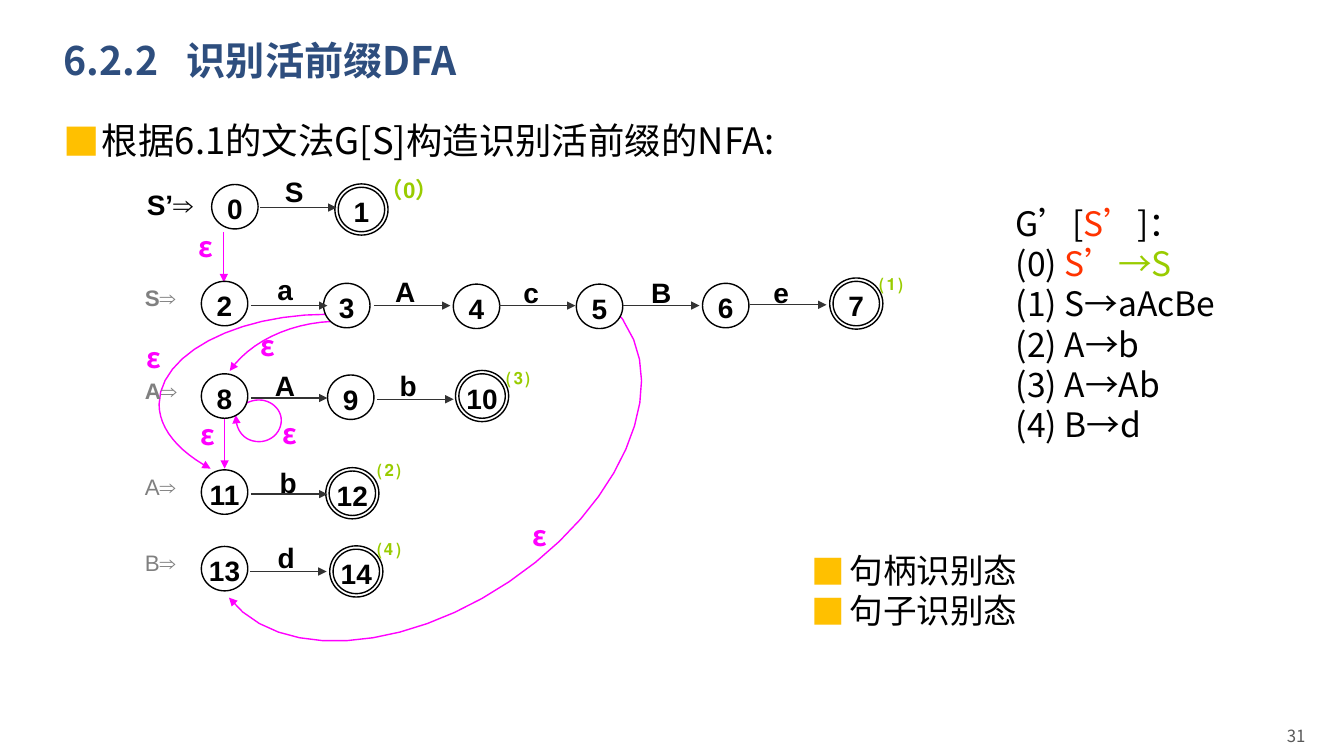
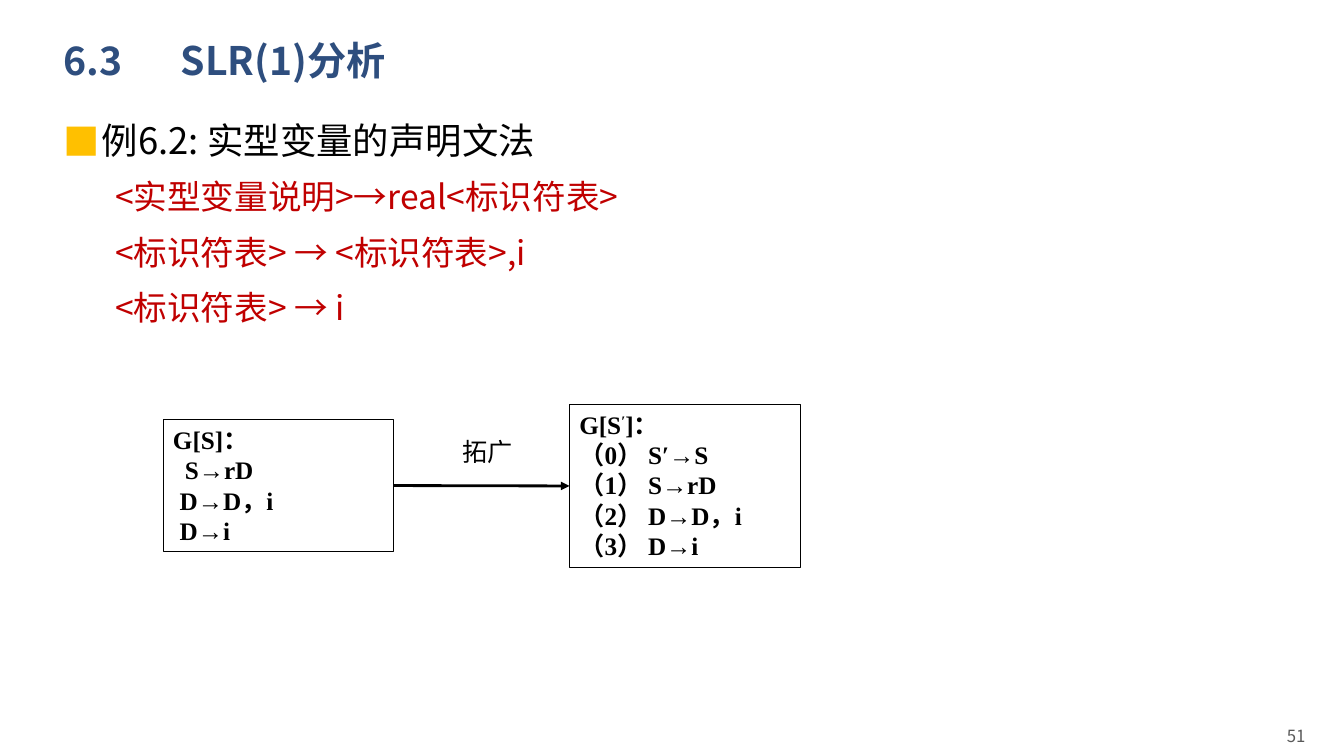
"""Build two compiler-course slides: a viable-prefix NFA and an SLR(1) grammar."""
from lxml import etree
from pptx import Presentation
from pptx import util as u
from pptx.dml import color as dml
from pptx.enum import shapes, text
from pptx.oxml import ns

SANS, LATIN, SERIF = "Noto Sans CJK SC", "Arial", "Times New Roman"
BLACK, NAVY, GOLD, GREY = "000000", "2E4E7E", "FFC000", "808080"
MAGENTA, GREEN, RED, CRIMSON = "FF00FF", "99CC00", "FF3300", "C00000"
CHARCOAL, FOOTER = "333333", "595959"
ALIGN = text.PP_ALIGN
ARROW = shapes.MSO_CONNECTOR.STRAIGHT
rgb = dml.RGBColor.from_string


def write(box, lines, size, font=SANS, colour=BLACK, bold=False, align=ALIGN.LEFT, bullets=0):
    """Fill a shape with paragraphs, the first few of them bulleted."""
    frame = box.text_frame
    frame.word_wrap = True
    for index, line in enumerate(lines):
        para = frame.paragraphs[0] if index == 0 else frame.add_paragraph()
        para.alignment = align
        if index < bullets:
            props = para._p.get_or_add_pPr()
            props.set("marL", str(u.Cm(0.97)))
            props.set("indent", str(-u.Cm(0.97)))
            tint = etree.SubElement(props, ns.qn("a:buClr"))
            etree.SubElement(tint, ns.qn("a:srgbClr"), val=GOLD)
            etree.SubElement(props, ns.qn("a:buFont"), typeface=SANS)
            etree.SubElement(props, ns.qn("a:buChar"), char="■")
        for words, tone in ([(line, colour)] if isinstance(line, str) else line):
            span = para.add_run()
            span.text = words
            span.font.size = u.Pt(size)
            span.font.bold = bold
            span.font.name = font
            span.font.color.rgb = rgb(tone)
            etree.SubElement(span._r.get_or_add_rPr(), ns.qn("a:ea"), typeface=SANS)
    return frame


def outline(shape, colour, width=1, arrow=False):
    """Style the line of a shape or connector and remove its shadow."""
    shape.line.color.rgb = rgb(colour)
    shape.line.width = u.Pt(width)
    if arrow:
        etree.SubElement(shape.line._get_or_add_ln(), ns.qn("a:tailEnd"), type="triangle")
    etree.SubElement(shape._element.spPr, ns.qn("a:effectLst"))


deck = Presentation()
deck.slide_width, deck.slide_height = u.Cm(33.87), u.Cm(19.05)

HEADINGS = [
    ("6.2.2\t识别活前缀DFA", 3.11, "31", ["根据6.1的文法G[S]构造识别活前缀的NFA:"]),
    ("6.3\tSLR(1)分析", 2.96, "51", [
        "例6.2: 实型变量的声明文法",
        [("<实型变量说明>→real<标识符表>", CRIMSON)],
        [("<标识符表> → <标识符表>,i", CRIMSON)],
        [("<标识符表> → i", CRIMSON)],
    ]),
]
pages = []
for title, tab, number, body in HEADINGS:
    page = deck.slides.add_slide(deck.slide_layouts[6])
    pages.append(page)
    box = page.shapes.add_textbox(u.Cm(1.35), u.Cm(0.71), u.Cm(29.21), u.Cm(1.73))
    frame = write(box, [title], 28, colour=NAVY, bold=True)
    frame.vertical_anchor = text.MSO_ANCHOR.MIDDLE
    para = frame.paragraphs[0]
    stops = etree.SubElement(para._p.get_or_add_pPr(), ns.qn("a:tabLst"))
    etree.SubElement(stops, ns.qn("a:tab"), pos=str(u.Cm(tab)), algn="l")
    para.line_spacing = 0.9

    box = page.shapes.add_textbox(u.Cm(1.35), u.Cm(2.62), u.Cm(29.21), u.Cm(6.2))
    frame = write(box, body, 26, bullets=1)
    for index, para in enumerate(frame.paragraphs):
        para.line_spacing = 1.2
        if index:
            para.space_before = u.Pt(5)
            para.runs[0].font.size = u.Pt(24)
            para._p.get_or_add_pPr().set("marL", str(u.Cm(1.3)))

    box = page.shapes.add_textbox(u.Cm(23.27), u.Cm(18.03), u.Cm(9.88), u.Cm(1.02))
    frame = write(box, [number], 12, colour=FOOTER, align=ALIGN.RIGHT)
    frame.vertical_anchor = text.MSO_ANCHOR.MIDDLE

nfa, slr = pages

box = nfa.shapes.add_textbox(u.Cm(25.6), u.Cm(4.98), u.Cm(7.2), u.Cm(6.4))
write(box, [
    [("G’[", BLACK), ("S’", RED), ("]：", BLACK)],
    [("(0) ", BLACK), ("S’", RED), ("→S", GREEN)],
    "(1) S→aAcBe", "(2) A→b", "(3) A→Ab", "(4) B→d",
], 24).margin_left = 0

CURVES = [
    [(15.57, 7.9), (15.62, 7.98), (15.7, 8.03), (15.72, 8.1), (16.92, 9.83), (15.62, 12.78),
     (12.83, 14.66), (10.13, 16.48), (7.01, 16.66), (5.77, 15.06)],
    [(8.26, 7.92), (5.92, 7.92), (4.01, 8.94), (4.01, 10.19), (4.01, 10.8), (4.5, 11.38),
     (5.31, 11.81)],
    [(8.36, 8.1), (7.26, 8.15), (6.27, 8.64), (5.79, 9.35)],
    [(6.12, 10.21), (6.25, 10.13), (6.38, 10.08), (6.53, 10.08), (6.83, 10.08), (7.09, 10.31),
     (7.09, 10.59), (7.09, 10.9), (6.83, 11.13), (6.53, 11.13), (6.2, 11.13), (5.94, 10.9),
     (5.94, 10.46)],
]
STEPS = 12
for curve in CURVES:
    points = []
    for first in range(0, len(curve) - 1, 3):
        controls = curve[first:first + 4]
        for step in range(1, STEPS + 1):
            t = step / STEPS
            weights = ((1 - t) ** 3, 3 * t * (1 - t) ** 2, 3 * t * t * (1 - t), t ** 3)
            points.append(tuple(
                u.Cm(sum(w * point[axis] for w, point in zip(weights, controls)))
                for axis in (0, 1)))
    builder = nfa.shapes.build_freeform(u.Cm(curve[0][0]), u.Cm(curve[0][1]))
    builder.add_line_segments(points, close=False)
    jump = builder.convert_to_shape()
    jump.fill.background()
    outline(jump, MAGENTA, arrow=True)

for x, top, bottom in [(5.64, 5.84, 7.11), (5.66, 10.54, 11.81)]:
    jump = nfa.shapes.add_connector(ARROW, u.Cm(x), u.Cm(top), u.Cm(x), u.Cm(bottom))
    outline(jump, MAGENTA, arrow=True)

STATES = [
    (5.92, 5.21), (9.11, 5.28), (5.66, 7.65), (8.74, 7.7), (12.01, 7.72),
    (15.11, 7.72), (18.29, 7.7), (21.58, 7.65), (5.66, 9.98), (8.84, 10.01),
    (12.15, 9.98), (5.66, 12.4), (8.88, 12.43), (5.66, 14.33), (8.98, 14.4),
]
ACCEPTING = {1, 7, 10, 12, 14}
for state, (x, y) in enumerate(STATES):
    rings = [(1.34, 1.29)] if state in ACCEPTING else []
    for width, height in rings + [(1.17, 1.12)]:
        circle = nfa.shapes.add_shape(
            shapes.MSO_SHAPE.OVAL, u.Cm(x - width / 2), u.Cm(y - height / 2),
            u.Cm(width), u.Cm(height))
        circle.fill.solid()
        circle.fill.fore_color.rgb = rgb("FFFFFF")
        outline(circle, BLACK)
    frame = write(circle, [str(state)], 20, LATIN, bold=True, align=ALIGN.CENTER)
    frame.word_wrap = False
    frame.vertical_anchor = text.MSO_ANCHOR.MIDDLE
    frame.margin_left = frame.margin_right = frame.margin_bottom = 0
    frame.margin_top = u.Cm(0.1)

MOVES = [
    ("S", 6.55, 5.23, 6.88, 4.27), ("a", 6.32, 7.7, 6.65, 6.73),
    ("A", 9.42, 7.7, 9.68, 6.78), ("c", 12.57, 7.7, 12.85, 6.81),
    ("B", 15.7, 7.7, 16.13, 6.81), ("e", 18.9, 7.68, 19.15, 6.83),
    ("A", 6.32, 10.03, 6.65, 9.17), ("b", 9.5, 10.06, 9.75, 9.17),
    ("b", 6.32, 12.45, 6.73, 11.61), ("d", 6.3, 14.4, 6.68, 13.49),
]
for symbol, x, y, left, top in MOVES:
    move = nfa.shapes.add_connector(ARROW, u.Cm(x), u.Cm(y), u.Cm(x + 1.93), u.Cm(y))
    outline(move, CHARCOAL, arrow=True)
    box = nfa.shapes.add_textbox(u.Cm(left), u.Cm(top), u.Cm(1.07), u.Cm(1.12))
    write(box, [symbol], 20, LATIN, bold=True, align=ALIGN.CENTER)

EPSILONS = [(13.16, 12.93), (4.75, 5.66), (3.45, 8.46), (6.32, 8.15), (6.86, 10.36), (4.8, 10.39)]
LABELS = [("ε", x, y, 20, SANS, MAGENTA, True) for x, y in EPSILONS] + [
    ("S’⇒", 3.45, 4.6, 20, LATIN, BLACK, True),
    ("S⇒", 3.4, 7.04, 16, LATIN, GREY, True),
    ("A⇒", 3.4, 9.37, 16, LATIN, GREY, True),
    ("A⇒", 3.4, 11.79, 16, LATIN, GREY, False),
    ("B⇒", 3.4, 13.72, 16, LATIN, GREY, False),
    ("（0）", 9.35, 4.32, 16, LATIN, GREEN, True),
    ("⑴", 21.92, 6.63, 16, LATIN, GREEN, True),
    ("⑶", 12.52, 8.99, 16, LATIN, GREEN, True),
    ("⑵", 9.27, 11.33, 16, LATIN, GREEN, True),
    ("⑷", 9.27, 13.31, 16, LATIN, GREEN, True),
]
for label, left, top, size, font, colour, bold in LABELS:
    box = nfa.shapes.add_textbox(u.Cm(left), u.Cm(top), u.Cm(2.26), u.Cm(1.12))
    write(box, [label], size, font, colour, bold)

box = nfa.shapes.add_textbox(u.Cm(20.19), u.Cm(13.72), u.Cm(6), u.Cm(2.31))
write(box, ["句柄识别态", "句子识别态"], 24, bullets=2)

GRAMMARS = [
    (4.11, 10.57, 3.33, ["G[S]：", "S→rD", "D→D，i", "D→i"], [0, 0.3, 0.17, 0.17]),
    (14.35, 10.19, 4.11, [
        [("G[S", BLACK), ("′", BLACK), ("]：", BLACK)],
        "（0） S′→S", "（1） S→rD", "（2） D→D，i", "（3） D→i",
    ], [0] * 5),
]
panels = []
for left, top, height, rules, indents in GRAMMARS:
    panel = slr.shapes.add_shape(
        shapes.MSO_SHAPE.RECTANGLE, u.Cm(left), u.Cm(top), u.Cm(5.82), u.Cm(height))
    panel.fill.background()
    outline(panel, BLACK, 0.75)
    frame = write(panel, rules, 18, SERIF, bold=True)
    frame.vertical_anchor = text.MSO_ANCHOR.TOP
    for para, indent in zip(frame.paragraphs, indents):
        para._p.get_or_add_pPr().set("marL", str(u.Cm(indent)))
    panels.append(panel)
prime = panels[1].text_frame.paragraphs[0].runs[1]
prime._r.get_or_add_rPr().set("baseline", "30000")

box = slr.shapes.add_textbox(u.Cm(11.18), u.Cm(10.87), u.Cm(2.2), u.Cm(1.02))
write(box, ["拓广"], 18, LATIN, align=ALIGN.CENTER)
extend = slr.shapes.add_connector(ARROW, u.Cm(9.93), u.Cm(12.24), u.Cm(14.35), u.Cm(12.24))
extend.begin_connect(panels[0], 3)
extend.end_connect(panels[1], 1)
outline(extend, BLACK, 2, arrow=True)

deck.save("out.pptx")
